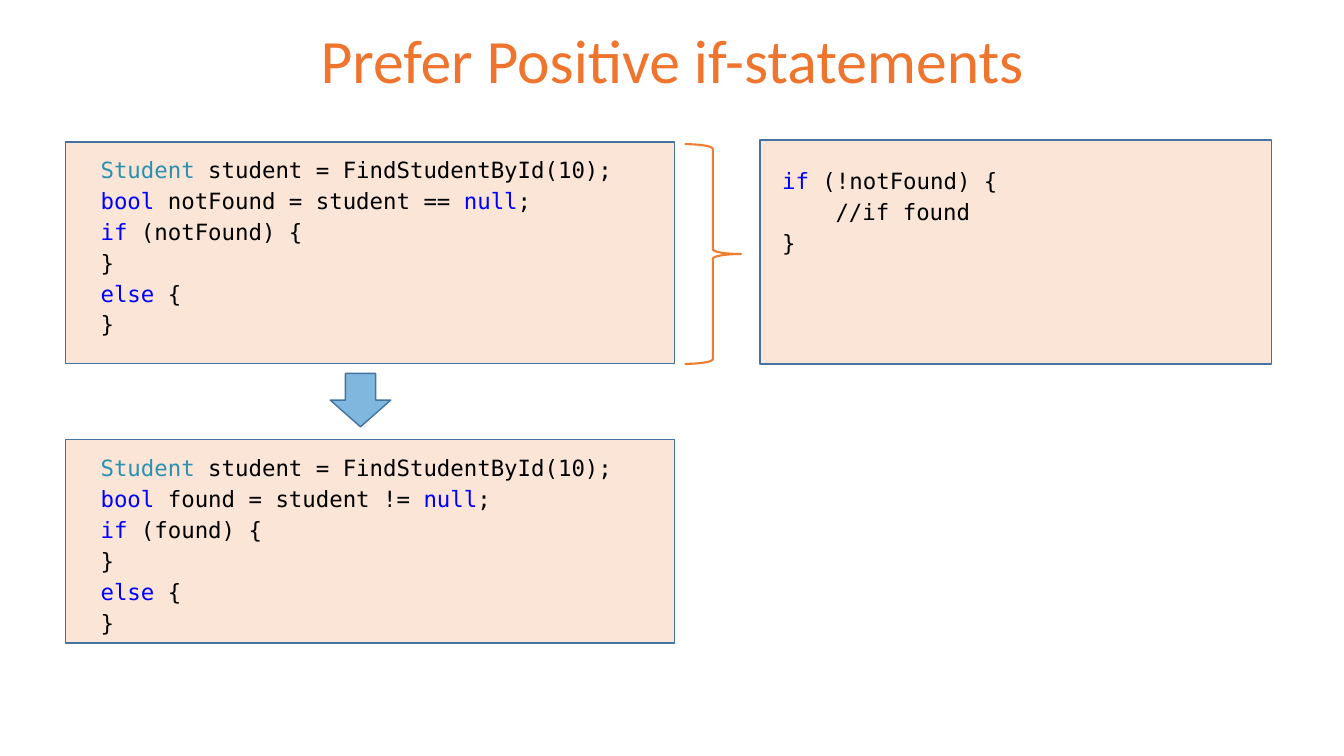
from pptx import Presentation
from pptx.dml.color import RGBColor
from pptx.enum.shapes import MSO_SHAPE
from pptx.enum.text import MSO_ANCHOR, MSO_AUTO_SIZE, PP_ALIGN
from pptx.oxml.ns import qn
from pptx.util import Inches, Pt
from lxml import etree

RECT = MSO_SHAPE.RECTANGLE
BRACE = MSO_SHAPE.RIGHT_BRACE
ARROW = MSO_SHAPE.RIGHT_ARROW
MIDDLE = MSO_ANCHOR.MIDDLE
FIXED = MSO_AUTO_SIZE.NONE
GROW = MSO_AUTO_SIZE.SHAPE_TO_FIT_TEXT
CENTER = PP_ALIGN.CENTER

PEACH = RGBColor(0xFB, 0xE5, 0xD6)
STEEL = RGBColor(0x43, 0x73, 0x9E)
ORANGE = RGBColor(0xED, 0x7D, 0x31)
TITLE = RGBColor(0xEF, 0x74, 0x2D)
AZURE = RGBColor(0x00, 0x70, 0xC0)
BLACK = RGBColor(0x00, 0x00, 0x00)
BLUE = RGBColor(0x00, 0x00, 0xFF)
TEAL = RGBColor(0x2B, 0x91, 0xAF)
HUES = {"Student": TEAL, "bool": BLUE, "null": BLUE, "if": BLUE, "else": BLUE}

BEFORE = [
    "Student| student = FindStudentById(10);",
    "bool| notFound = student == |null|;",
    "if| (notFound) {", "}", "else| {", "}",
]
AFTER = [
    "Student| student = FindStudentById(10);",
    "bool| found = student != |null|;",
    "if| (found) {", "}", "else| {", "}",
]
NEGATED = ["if| (!notFound) {", "\t//if found", "}"]


class Deck:
    sans = "Calibri"
    mono = "DejaVu Sans Mono"
    code_size = Pt(16)
    indent = Inches(0.53)

    def __init__(self, wide, high):
        self.show = Presentation()
        self.show.slide_width = Inches(wide)
        self.show.slide_height = Inches(high)
        self.slide = self.show.slides.add_slide(self.show.slide_layouts[5])

    def area(self, left, top, width, height):
        wide, high = self.show.slide_width, self.show.slide_height
        return [round(share * full / 100) for share, full in
                zip((left, top, width, height), (wide, high, wide, high))]

    def title(self, text, *place):
        head = self.slide.shapes.title
        head.left, head.top, head.width, head.height = self.area(*place)
        frame = head.text_frame
        frame.text = text
        frame.auto_size = FIXED
        frame.vertical_anchor = MIDDLE
        para = frame.paragraphs[0]
        para.alignment = CENTER
        para.line_spacing = 0.9
        self.style(para.runs[0], self.sans, Pt(44), TITLE)

    def style(self, run, face, size, color):
        run.font.name = face
        run.font.size = size
        run.font.color.rgb = color

    def shape(self, kind, *place, fill=None, line=STEEL, weight=1):
        item = self.slide.shapes.add_shape(kind, *self.area(*place))
        item.shadow.inherit = False
        item.line.color.rgb = line
        item.line.width = Pt(weight)
        if fill is None:
            item.fill.background()
        else:
            item.fill.solid()
            item.fill.fore_color.rgb = fill
        return item

    def arrow(self, *place):
        item = self.shape(ARROW, *place, fill=AZURE)
        item.rotation = 90
        color = item.fill._xPr.find(qn("a:solidFill"))[0]
        etree.SubElement(color, qn("a:alpha")).set("val", "50000")

    def code(self, lines, *place):
        box = self.slide.shapes.add_textbox(*self.area(*place))
        frame = box.text_frame
        frame.word_wrap = True
        frame.auto_size = GROW
        for row, line in enumerate(lines):
            para = frame.add_paragraph() if row else frame.paragraphs[0]
            para.line_spacing = 1.15
            if line.startswith("\t"):
                para._p.get_or_add_pPr().set("marL", str(self.indent))
            for part in line.strip().split("|"):
                run = para.add_run()
                run.text = part
                self.style(run, self.mono, self.code_size, HUES.get(part, BLACK))


def main():
    deck = Deck(13.33, 7.5)
    deck.title("Prefer Positive if-statements", 6.9, -1.2, 86.27, 19.33)
    deck.shape(RECT, 4.88, 58.13, 45.3, 26.93, fill=PEACH)
    deck.shape(RECT, 4.88, 18.8, 45.3, 29.33, fill=PEACH)
    deck.code(BEFORE, 6.75, 19.47, 43.43, 26.13)
    deck.shape(RECT, 56.56, 18.53, 38.03, 29.6, fill=PEACH)
    deck.code(NEGATED, 57.46, 20.93, 37.13, 13.47)
    deck.shape(BRACE, 50.94, 19.07, 4.2, 29.07, line=ORANGE, weight=1.5)
    deck.arrow(24.83, 48.93, 3.98, 8)
    deck.code(AFTER, 6.75, 58.93, 43.43, 26.13)
    deck.show.save("out.pptx")


if __name__ == "__main__":
    main()
